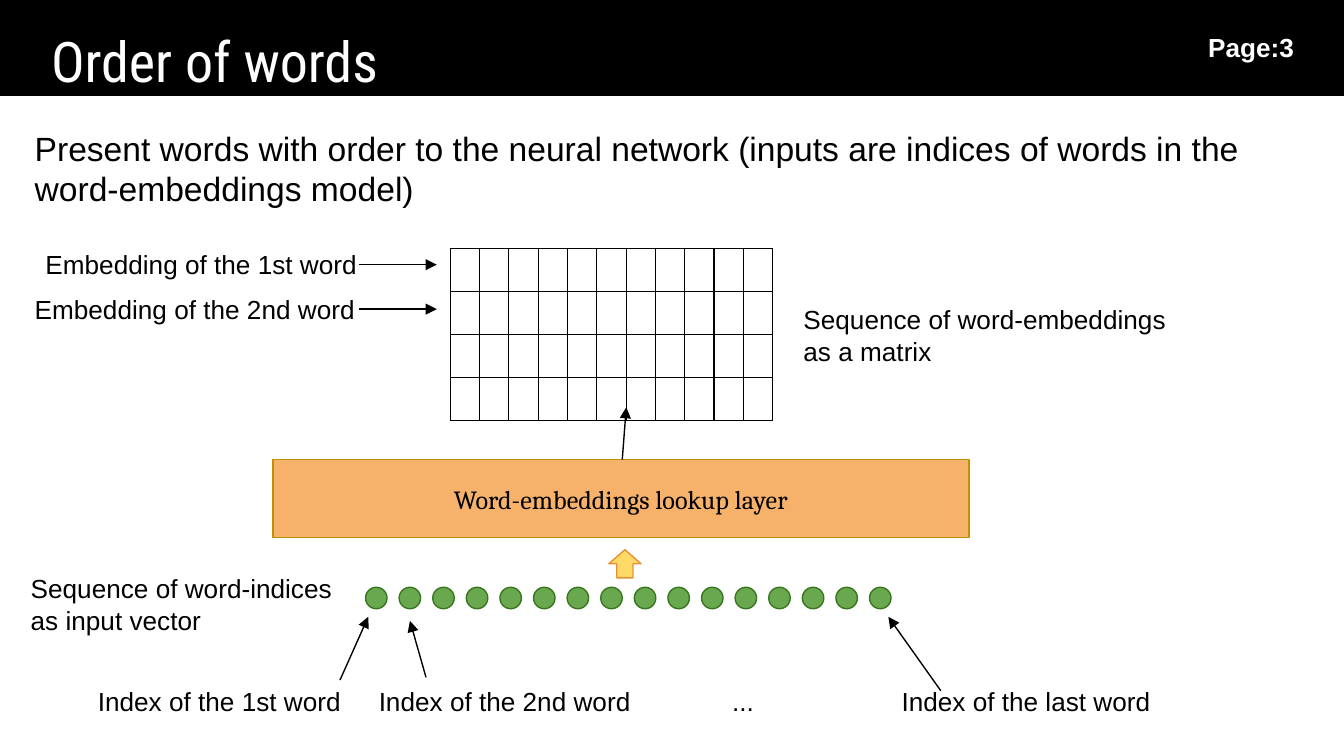
from dataclasses import dataclass
from typing import NamedTuple

from lxml import etree
from pptx import Presentation
from pptx import util as u
from pptx.dml.color import RGBColor
from pptx.enum import shapes, text
from pptx.oxml import ns

UNIT = 0.25  # inches per grid column and row
COLUMNS, ROWS = 40, 22.5


@dataclass(frozen=True)
class Theme:
    black: str = "000000"
    white: str = "FFFFFF"
    node: str = "6AA84F"
    node_line: str = "38761D"
    layer: str = "F6B26B"
    layer_line: str = "BF9000"
    flow: str = "FFD966"
    flow_line: str = "E69138"
    sans: str = "Arial"
    serif: str = "Cambria"
    heading: str = "Roboto Condensed"
    title_size: float = 30
    body_size: float = 18
    label_size: float = 14
    line_width: float = 0.75


THEME = Theme()


class Area(NamedTuple):
    """A rectangle in grid columns and rows."""
    left: float
    top: float
    width: float
    height: float


class Label(NamedTuple):
    words: str
    area: Area
    size: float = THEME.label_size
    color: str = THEME.black
    bold: bool = False


class Arrow(NamedTuple):
    start: tuple[float, float]
    end: tuple[float, float]


LABELS = [
    Label("Present words with order to the neural network (inputs are indices "
          "of words in the word-embeddings model)",
          Area(0.64, 3.4, 38.72, 3.6), THEME.body_size),
    Label("Page:3", Area(35.56, 0.52, 4.08, 1.4), color=THEME.white, bold=True),
    Label("Embedding of the 1st word", Area(0.96, 7, 10.52, 2.32)),
    Label("Embedding of the 2nd word", Area(0.64, 8.32, 10.52, 2.32)),
    Label("Sequence of word-embeddings\nas a matrix", Area(23.52, 8.64, 13.36, 2.32)),
    Label("Sequence of word-indices as input vector", Area(0.52, 16.64, 9.8, 2.32)),
    Label("Index of the 1st word", Area(2.52, 20, 8.64, 2.32)),
    Label("Index of the 2nd word", Area(10.88, 20, 8.64, 2.32)),
    Label("...", Area(21.4, 20, 2, 2.32)),
    Label("Index of the last word", Area(26.44, 20, 8.64, 2.32)),
]

ARROWS = [
    Arrow((10.68, 7.88), (13, 7.88)),       # first embedding
    Arrow((10.68, 9.2), (13, 9.2)),         # second embedding
    Arrow((18.52, 13.68), (18.64, 12.12)),  # lookup layer to matrix
    Arrow((10.12, 20.24), (10.96, 18.36)),  # first index
    Arrow((12.68, 20.16), (12.2, 18.48)),   # second index
    Arrow((28, 20.56), (26.44, 18.36)),     # last index
]

BAND = Area(0, 0, COLUMNS, 2.86)
TITLE = Area(1.12, 0.4, 20, 3.04)
MATRIX = Area(13.4, 7.4, 9.6, 5.12)
MATRIX_ROWS, MATRIX_COLUMNS = 4, 11
LOOKUP = Area(8.12, 13.68, 20.72, 2.32)
FLOW = Area(18.12, 16.36, 0.96, 0.84)
FIRST_NODE = Area(10.88, 17.48, 0.64, 0.64)
NODE_COUNT = 16


def grid(cells: float) -> u.Length:
    return u.Inches(cells * UNIT)


def place(area: Area) -> list[u.Length]:
    return [grid(cells) for cells in area]


def rgb(color: str) -> RGBColor:
    return RGBColor.from_string(color)


def write(shape, words: str, size: float, font: str, color: str, bold=False,
          align=text.PP_ALIGN.LEFT, anchor=text.MSO_ANCHOR.TOP) -> None:
    frame = shape.text_frame
    frame.text = words
    frame.word_wrap = True
    frame.auto_size = text.MSO_AUTO_SIZE.NONE
    frame.vertical_anchor = anchor
    frame.margin_left = frame.margin_right = u.Inches(0.1)
    frame.margin_top = frame.margin_bottom = u.Inches(0.1)
    for para in frame.paragraphs:
        para.alignment = align
        for span in para.runs:
            span.font.size = u.Pt(size)
            span.font.name = font
            span.font.bold = bold
            span.font.color.rgb = rgb(color)


def add_block(page, kind, area: Area, fill: str, line: str | None = None):
    block = page.shapes.add_shape(kind, *place(area))
    block.shadow.inherit = False
    block.fill.solid()
    block.fill.fore_color.rgb = rgb(fill)
    if line is None:
        block.line.fill.background()
    else:
        block.line.color.rgb = rgb(line)
        block.line.width = u.Pt(THEME.line_width)
    return block


def add_label(page, label: Label) -> None:
    box = page.shapes.add_textbox(*place(label.area))
    write(box, label.words, label.size, THEME.sans, label.color, label.bold)


def add_arrow(page, arrow: Arrow) -> None:
    ends = [grid(cells) for cells in (*arrow.start, *arrow.end)]
    line = page.shapes.add_connector(shapes.MSO_CONNECTOR.STRAIGHT, *ends)
    line.line.color.rgb = rgb(THEME.black)
    line.line.width = u.Pt(THEME.line_width)
    etree.SubElement(line.line._get_or_add_ln(), ns.qn("a:tailEnd"), type="triangle")
    etree.SubElement(line.element.spPr, ns.qn("a:effectLst"))


def outline_cell(cell) -> None:
    properties = cell._tc.get_or_add_tcPr()
    for side in ("a:lnL", "a:lnR", "a:lnT", "a:lnB"):
        border = etree.SubElement(properties, ns.qn(side), w=str(u.Pt(THEME.line_width)))
        fill = etree.SubElement(border, ns.qn("a:solidFill"))
        etree.SubElement(fill, ns.qn("a:srgbClr"), val=THEME.black)


def add_matrix(page) -> None:
    table = page.shapes.add_table(MATRIX_ROWS, MATRIX_COLUMNS, *place(MATRIX)).table
    table.first_row = table.horz_banding = False
    for column in table.columns:
        column.width = grid(MATRIX.width / MATRIX_COLUMNS)
    for row in table.rows:
        row.height = grid(MATRIX.height / MATRIX_ROWS)
    for cell in table.iter_cells():
        cell.margin_left = cell.margin_right = 0
        cell.margin_top = cell.margin_bottom = 0
        outline_cell(cell)
        cell.fill.background()


def add_header(page) -> None:
    band = add_block(page, shapes.MSO_SHAPE.RECTANGLE, BAND, THEME.black)
    title = page.shapes.title
    title.left, title.top, title.width, title.height = place(TITLE)
    write(title, "Order of words", THEME.title_size, THEME.heading, THEME.white)
    title.element.addprevious(band.element)  # the band lies behind the title


def main() -> None:
    deck = Presentation()
    deck.slide_width, deck.slide_height = grid(COLUMNS), grid(ROWS)
    page = deck.slides.add_slide(deck.slide_layouts.get_by_name("Title Only"))
    add_header(page)
    for step in range(NODE_COUNT):
        area = FIRST_NODE._replace(left=FIRST_NODE.left + step)
        add_block(page, shapes.MSO_SHAPE.FLOWCHART_CONNECTOR, area,
                  THEME.node, THEME.node_line)
    lookup = add_block(page, shapes.MSO_SHAPE.RECTANGLE, LOOKUP,
                       THEME.layer, THEME.layer_line)
    write(lookup, "Word-embeddings lookup layer", THEME.label_size, THEME.serif,
          THEME.black, align=text.PP_ALIGN.CENTER, anchor=text.MSO_ANCHOR.MIDDLE)
    add_block(page, shapes.MSO_SHAPE.UP_ARROW, FLOW, THEME.flow, THEME.flow_line)
    add_matrix(page)
    for label in LABELS:
        add_label(page, label)
    for arrow in ARROWS:
        add_arrow(page, arrow)
    deck.save("out.pptx")


if __name__ == "__main__":
    main()
